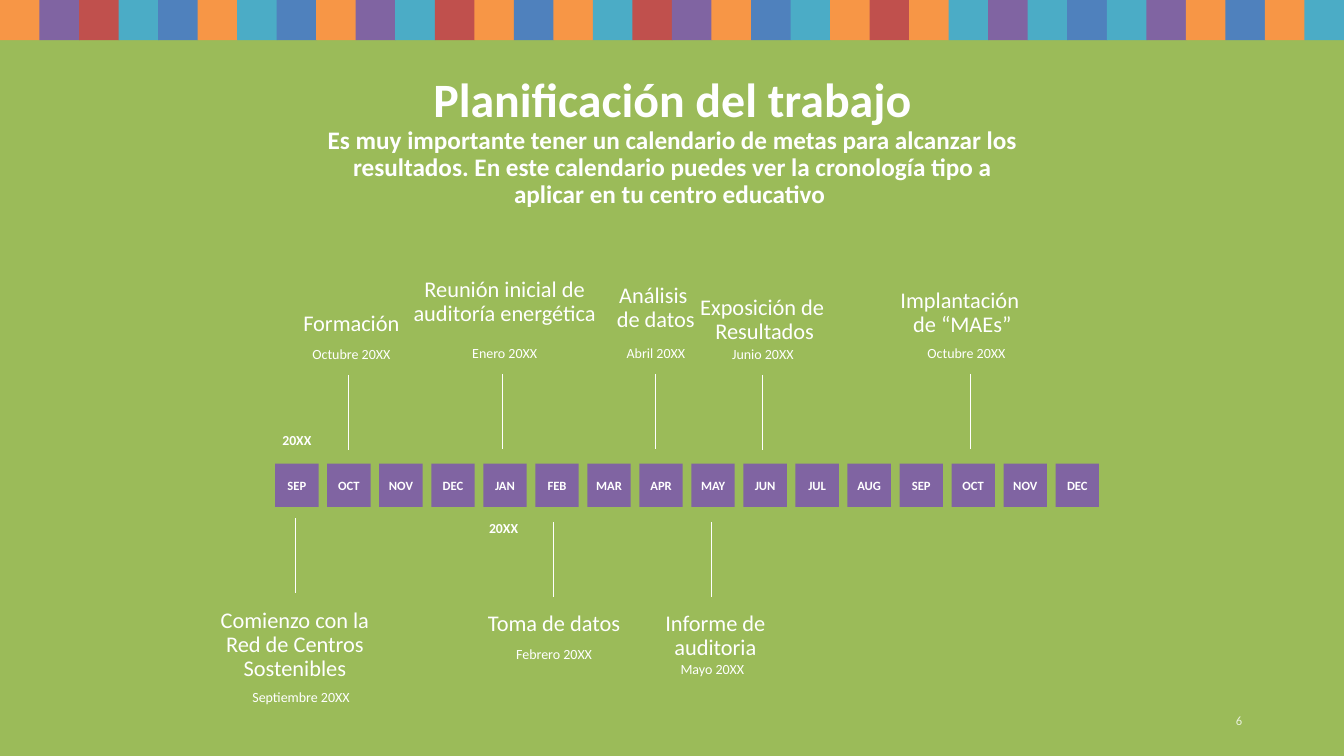
from lxml import etree
from pptx import Presentation
from pptx.dml.color import RGBColor
from pptx.enum import shapes, text
from pptx.oxml.ns import qn
from pptx.util import Inches, Pt

# Content
COLORS = {"back": "9BBB59", "white": "FFFFFF", "pale": "EAF1DD",
          "O": "F79646", "P": "8064A2", "R": "C0504D", "T": "4BACC6", "B": "4F81BD"}
FONT = "Calibri"
STRIP = "OPRTBOTBOPTROBOTRPOBTOROTPTBTPOBOT"
TITLE = "Planificación del trabajo"
SUBTITLE = ("Es muy importante tener un calendario de metas para alcanzar los resultados. "
            "En este calendario puedes ver la cronología tipo a aplicar en tu centro educativo ")
MONTHS = "SEP OCT NOV DEC JAN FEB MAR APR MAY JUN JUL AUG SEP OCT NOV DEC".split()
YEARS = [("20XX", 2.61, 4.28), ("20XX", 4.66, 5.15)]
PAGE = "6"
# Label paragraphs, label box, date, date left and top, line x and top
MILESTONES = [
    (["Comienzo con la Red de Centros Sostenibles"], (2, 6.04, 1.85, 0.25),
     "Septiembre 20XX", (2.06, 6.85), (2.93, 5.14)),
    (["Formación"], (2.56, 3.1, 1.85, 0.25),
     "Octubre 20XX", (2.56, 3.45), (3.46, 3.72)),
    (["Reunión inicial de auditoría energética"], (4.08, 2.76, 1.85, 0.58),
     "Enero 20XX", (4.08, 3.44), (4.98, 3.71)),
    (["Toma de datos"], (4.57, 6.07, 1.85, 0.25),
     "Febrero 20XX", (4.57, 6.42), (5.49, 5.18)),
    (["Análisis ", "de datos"], (5.34, 2.82, 2.33, 0.57),
     "Abril 20XX", (5.58, 3.44), (6.5, 3.71)),
    (["Informe de auditoria"], (6.17, 6.07, 1.85, 0.25),
     "Mayo 20XX", (6.14, 6.57), (7.06, 5.18)),
    (["Exposición de ", "Resultados"], (6.61, 2.94, 1.95, 0.42),
     "Junio 20XX", (6.64, 3.45), (7.56, 3.72)),
    (["Implantación ", "de “MAEs”"], (8.38, 2.87, 2.33, 0.52),
     "Octubre 20XX", (8.66, 3.44), (9.63, 3.71)),
]
WIDTH, HEIGHT = 13.33, 7.5
MONTH_LEFT, MONTH_TOP, MONTH_SIZE, MONTH_PITCH = 2.73, 4.6, 0.43, 0.516
LINE_LENGTH = 0.74
MIDDLE = text.MSO_ANCHOR.MIDDLE

prs = Presentation()
prs.slide_width, prs.slide_height = Inches(WIDTH), Inches(HEIGHT)
s = prs.slides.add_slide(prs.slide_layouts[6])
s.background.fill.solid()


def rgb(name):
    return RGBColor.from_string(COLORS[name])


def write(sp, paras, size, bold=False, color="white", align=text.PP_ALIGN.CENTER,
          spacing=None, anchor=text.MSO_ANCHOR.TOP, inset=(0, 0)):
    tf = sp.text_frame
    tf.word_wrap = True
    tf.vertical_anchor = anchor
    tf.margin_left = tf.margin_right = Inches(inset[0])
    tf.margin_top = tf.margin_bottom = Inches(inset[1])
    for i, words in enumerate(paras):
        p = tf.add_paragraph() if i else tf.paragraphs[0]
        p.add_run().text = words
        p.alignment, p.line_spacing = align, spacing
        p.font.name, p.font.size, p.font.bold = FONT, Pt(size), bold
        p.font.color.rgb = rgb(color)
    return tf


def box(at, paras, size, **style):
    return write(s.shapes.add_textbox(*map(Inches, at)), paras, size, **style)


def square(x, y, w, h, color):
    sp = s.shapes.add_shape(shapes.MSO_SHAPE.RECTANGLE, *map(Inches, (x, y, w, h)))
    sp.shadow.inherit = False
    sp.fill.solid()
    sp.fill.fore_color.rgb = rgb(color)
    sp.line.fill.background()
    return sp


s.background.fill.fore_color.rgb = rgb("back")

# Colour strip
for i, color in enumerate(STRIP):
    square(i * WIDTH / len(STRIP), 0, 0.4, 0.4, color)

# Title and subtitle
tf = box((3.09, 0.69, 7.16, 1.45), [TITLE], 34.2, bold=True, spacing=0.9,
         anchor=MIDDLE, inset=(0.1, 0.05))
p = tf.paragraphs[0]
p.add_line_break()
r = p.add_run()
r.text = SUBTITLE
r.font.size = Pt(18)

# Months and years
for i, month in enumerate(MONTHS):
    sp = square(MONTH_LEFT + i * MONTH_PITCH, MONTH_TOP, MONTH_SIZE, MONTH_SIZE, "P")
    write(sp, [month], 9, bold=True, anchor=MIDDLE)
for year, x, y in YEARS:
    box((x, y, 0.67, 0.22), [year], 9.8, bold=True, spacing=0.7,
        anchor=MIDDLE, inset=(0.1, 0.05))

# Milestones
for label, label_at, date, date_at, (x, y) in MILESTONES:
    box(label_at, label, 16, spacing=0.9)
    box((*date_at, 1.85, 0.25), [date], 10, spacing=0.9)
    line = s.shapes.add_connector(shapes.MSO_CONNECTOR.STRAIGHT,
                                  *map(Inches, (x, y, x, y + LINE_LENGTH)))
    line.line.color.rgb = rgb("white")
    line.line.width = Pt(0.75)
    etree.SubElement(line._element.spPr, qn("a:effectLst"))

# Page number
box((9.42, 6.95, 3, 0.4), [PAGE], 9, color="pale", align=text.PP_ALIGN.RIGHT,
    anchor=MIDDLE, inset=(0.1, 0.05))

prs.save("out.pptx")
